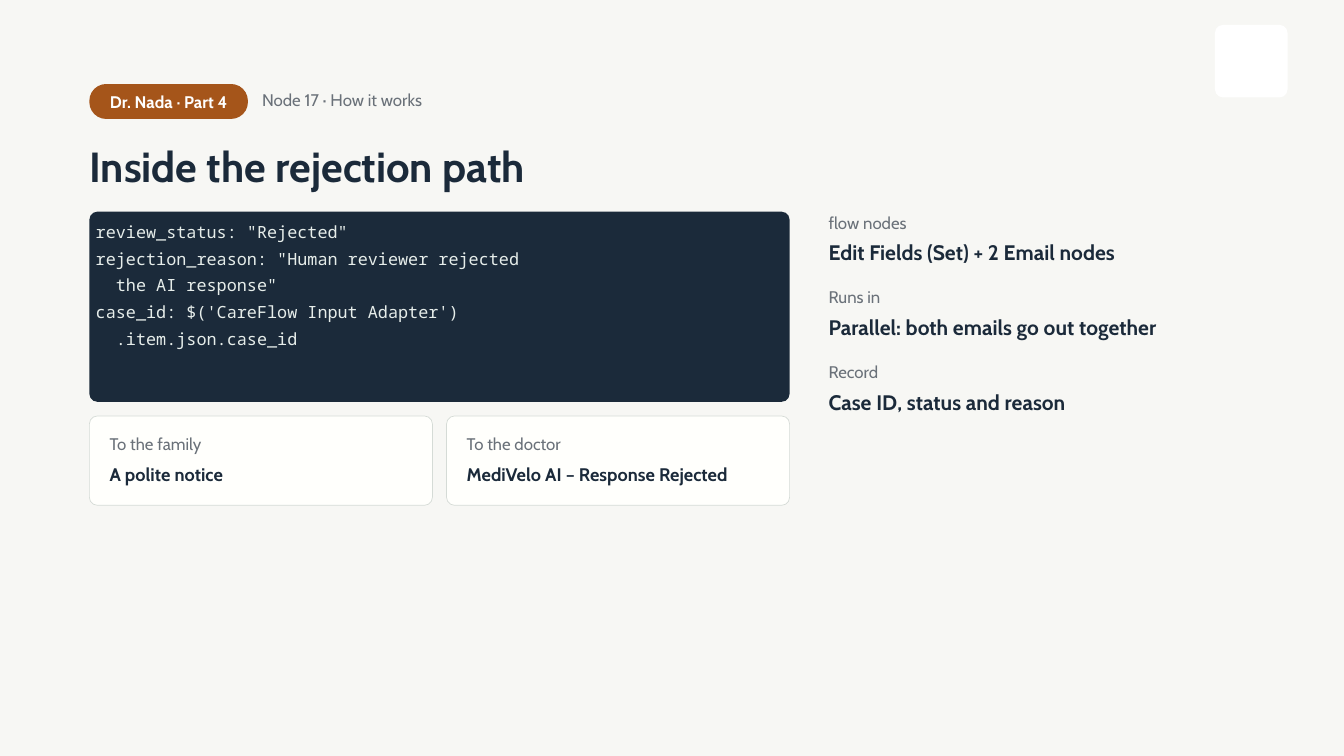
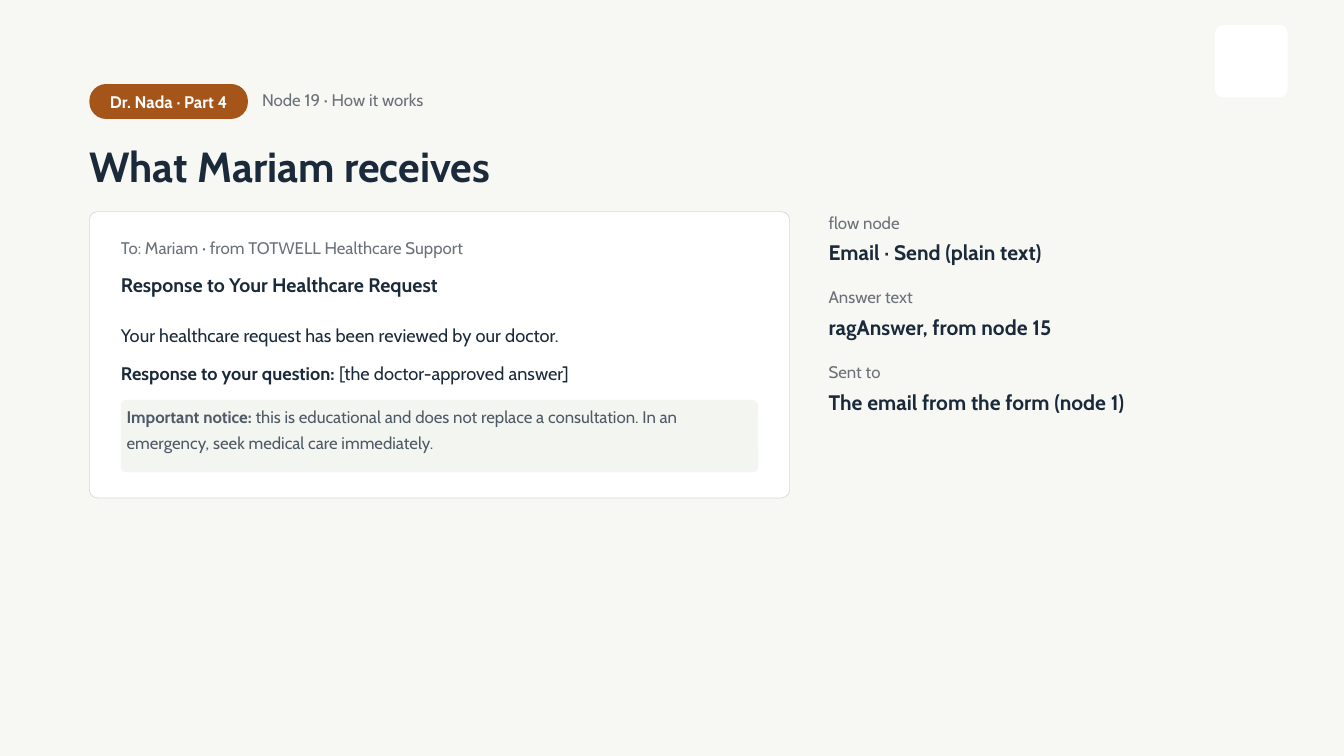
from dataclasses import dataclass

from lxml import etree
from pptx import Presentation
from pptx.dml.color import RGBColor
from pptx.enum.shapes import MSO_SHAPE
from pptx.enum.text import MSO_ANCHOR, MSO_AUTO_SIZE, PP_ALIGN
from pptx.oxml.ns import qn
from pptx.util import Inches, Pt

ROUNDED = MSO_SHAPE.ROUNDED_RECTANGLE
TOP, MIDDLE = MSO_ANCHOR.TOP, MSO_ANCHOR.MIDDLE
LEFT, CENTER = PP_ALIGN.LEFT, PP_ALIGN.CENTER
NO_AUTOFIT = MSO_AUTO_SIZE.NONE

PAPER = RGBColor(0xF7, 0xF7, 0xF4)
WHITE = RGBColor(0xFF, 0xFF, 0xFF)
CARD = RGBColor(0xFF, 0xFF, 0xFC)
RUST = RGBColor(0xA5, 0x55, 0x1A)
NAVY = RGBColor(0x1B, 0x2A, 0x3A)
GREY = RGBColor(0x6A, 0x71, 0x79)
SLATE = RGBColor(0x4E, 0x5A, 0x66)
MINT = RGBColor(0xE6, 0xED, 0xEA)
SAGE = RGBColor(0xF3, 0xF5, 0xF1)
BORDER = RGBColor(0xD5, 0xDB, 0xD6)


@dataclass
class Style:
    size: float
    line: float
    color: RGBColor
    bold: bool = False
    font: str = "Cabin"


TITLE = Style(45, 51.7, NAVY, True)
BADGE = Style(18, 25.2, WHITE, True)
LABEL = Style(18, 25.2, GREY)
CODE = Style(18, 28.8, MINT, font="Noto Sans Mono")
CARD_VALUE = Style(19.5, 27.3, NAVY, True)
DETAIL = Style(22.5, 29.2, NAVY, True)
SUBJECT = Style(21, 29.4, NAVY, True)
MAIL = Style(19.5, 29.2, NAVY)
MAIL_BOLD = Style(19.5, 29.2, NAVY, True)
NOTICE = Style(18, 27, SLATE)
NOTICE_BOLD = Style(18, 27, SLATE, True)

MARGIN = 1.33
PANEL_TOP = 3.15
PANEL_WIDTH = 10.42
CARD_GAP = 0.21
MAIL_LEFT = 1.8

BADGE_TEXT = "Dr. Nada · Part 4"
REJECTION = {
    "step": "Node 17 · How it works",
    "title": "Inside the rejection path",
    "details": [
        ("flow nodes", "Edit Fields (Set) + 2 Email nodes"),
        ("Runs in", "Parallel: both emails go out together"),
        ("Record", "Case ID, status and reason"),
    ],
}
CODE_LINES = [
    'review_status: "Rejected"',
    'rejection_reason: "Human reviewer rejected',
    '  the AI response"',
    "case_id: $('CareFlow Input Adapter')",
    "  .item.json.case_id",
]
RECIPIENTS = [
    ("To the family", "A polite notice"),
    ("To the doctor", "MediVelo AI – Response Rejected"),
]
RECEIPT = {
    "step": "Node 19 · How it works",
    "title": "What Mariam receives",
    "details": [
        ("flow node", "Email · Send (plain text)"),
        ("Answer text", "ragAnswer, from node 15"),
        ("Sent to", "The email from the form (node 1)"),
    ],
}
MAIL_LINES = [
    (3.49, [("To: Mariam · from TOTWELL Healthcare Support", LABEL)]),
    (4.0, [("Response to Your Healthcare Request", SUBJECT)]),
    (4.74, [("Your healthcare request has been reviewed by our doctor.", MAIL)]),
    (5.31, [("Response to your question:", MAIL_BOLD),
            (" [the doctor-approved answer]", MAIL)]),
]
NOTICE_SPANS = [
    ("Important notice:", NOTICE_BOLD),
    (" this is educational and does not replace a consultation. "
     "In an emergency, seek medical care immediately.", NOTICE),
]


def place(shape, left, top, width, height):
    shape.left, shape.top = Inches(left), Inches(top)
    shape.width, shape.height = Inches(width), Inches(height)


def write(shape, paragraphs, insets=(0, 0, 0, 0), anchor=TOP, align=LEFT, gaps=(0,)):
    frame = shape.text_frame
    frame.word_wrap = True
    frame.auto_size = NO_AUTOFIT
    frame.vertical_anchor = anchor
    (frame.margin_left, frame.margin_top,
     frame.margin_right, frame.margin_bottom) = map(Inches, insets)
    for index, spans in enumerate(paragraphs):
        para = frame.paragraphs[0] if index == 0 else frame.add_paragraph()
        para.alignment = align
        para.line_spacing = Pt(spans[0][1].line)
        para.space_before = Pt(gaps[index % len(gaps)] if index else 0)
        para.space_after = Pt(0)
        for text, style in spans:
            span = para.add_run()
            span.text = text
            span.font.name = style.font
            span.font.size = Pt(style.size)
            span.font.bold = style.bold
            span.font.color.rgb = style.color


def add_text(page, left, top, width, spans):
    height = spans[0][1].line / 72 + 0.08
    box = page.shapes.add_textbox(*map(Inches, (left, top, width, height)))
    write(box, [spans])


def add_panel(page, left, top, width, height, fill, radius=0.12, border=None):
    panel = page.shapes.add_shape(ROUNDED, *map(Inches, (left, top, width, height)))
    panel.adjustments[0] = radius / min(width, height)
    panel.shadow.inherit = False
    panel.fill.solid()
    panel.fill.fore_color.rgb = fill
    if border:
        panel.line.color.rgb = border
        panel.line.width = Pt(0.75)
    else:
        panel.line.fill.background()
    return panel


def add_details(body, details):
    place(body, 12.33, 3.11, 6.52, 3.12)
    lines = [[span] for label, value in details
             for span in ((label, LABEL), (value, DETAIL))]
    write(body, lines, gaps=(19.8, 5.8))
    for para in body.text_frame.paragraphs:
        properties = para._p.get_or_add_pPr()
        properties.set("marL", "0")
        properties.set("indent", "0")
        etree.SubElement(properties, qn("a:buNone"))


def add_page(deck, content):
    page = deck.slides.add_slide(deck.slide_layouts[1])
    add_panel(page, 18.08, 0.37, 1.08, 1.08, WHITE)
    badge = add_panel(page, MARGIN, 1.25, 2.36, 0.52, RUST, radius=0.25)
    write(badge, [[(BADGE_TEXT, BADGE)]], (0.06, 0.03, 0.06, 0.06), MIDDLE, CENTER)
    add_text(page, 3.9, 1.29, 3.13, [(content["step"], LABEL)])
    title = page.shapes.title
    place(title, MARGIN, 2.13, 15.88, 0.73)
    write(title, [[(content["title"], TITLE)]])
    add_details(page.placeholders[1], content["details"])
    return page


def add_rejection(deck):
    page = add_page(deck, REJECTION)
    code = add_panel(page, MARGIN, PANEL_TOP, PANEL_WIDTH, 2.83, NAVY)
    write(code, [[(line, CODE)] for line in CODE_LINES], (0.06, 0.01, 0.06, 0.06))
    width = (PANEL_WIDTH - CARD_GAP) / len(RECIPIENTS)
    for index, (label, value) in enumerate(RECIPIENTS):
        left = MARGIN + index * (width + CARD_GAP)
        add_panel(page, left, 6.19, width, 1.33, CARD, border=BORDER)
        add_text(page, left + 0.3, 6.41, 4.64, [(label, LABEL)])
        add_text(page, left + 0.3, 6.84, 4.64, [(value, CARD_VALUE)])


def add_receipt(deck):
    page = add_page(deck, RECEIPT)
    add_panel(page, MARGIN, PANEL_TOP, PANEL_WIDTH, 4.26, WHITE, border=BORDER)
    for top, spans in MAIL_LINES:
        add_text(page, MAIL_LEFT, top, 9.77, spans)
    notice = add_panel(page, MAIL_LEFT, 5.95, 9.48, 1.08, SAGE, radius=0.08)
    write(notice, [NOTICE_SPANS], (0.06, 0.01, 0.06, 0.06))


def main():
    deck = Presentation()
    deck.slide_width, deck.slide_height = Inches(20), Inches(11.25)
    background = deck.slide_master.background.fill
    background.solid()
    background.fore_color.rgb = PAPER
    add_rejection(deck)
    add_receipt(deck)
    deck.save("out.pptx")


if __name__ == "__main__":
    main()
